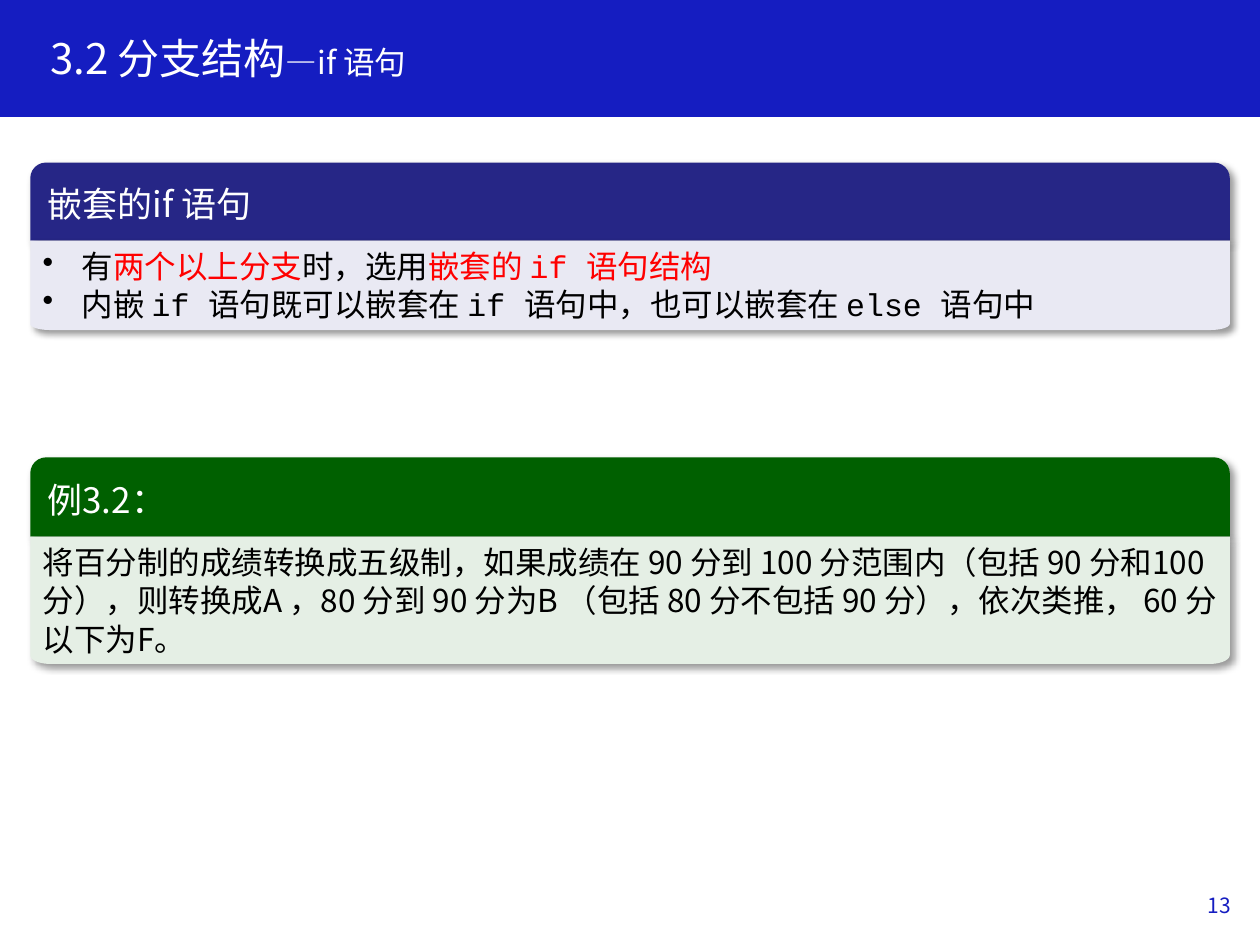
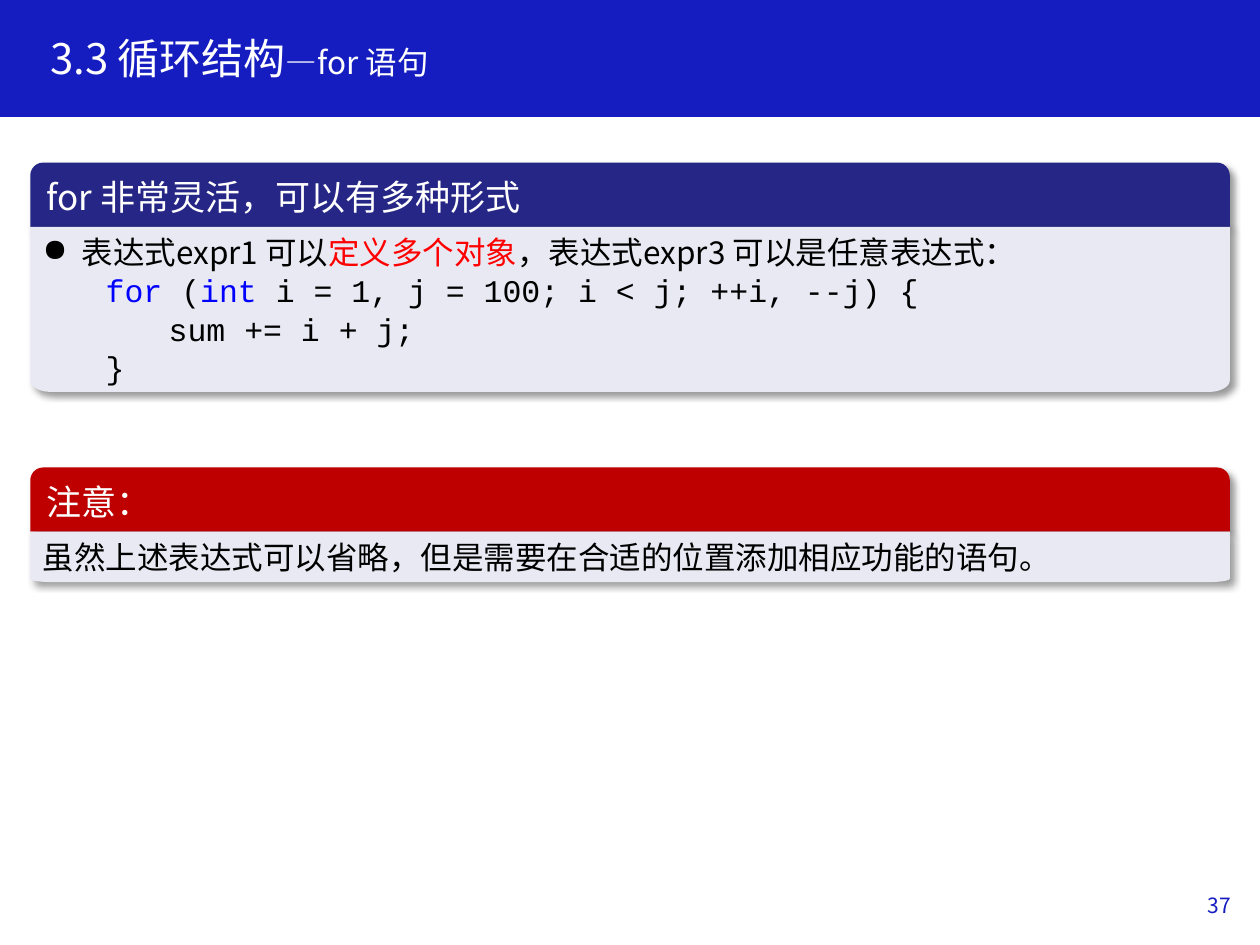
from dataclasses import dataclass
from math import cos, pi, sin

from lxml.etree import SubElement
from pptx import Presentation
from pptx.dml.color import RGBColor
from pptx.enum.shapes import MSO_SHAPE
from pptx.enum.text import MSO_ANCHOR, PP_ALIGN
from pptx.oxml.ns import qn
from pptx.util import Inches, Pt

COLORS = {
    "band": "151DC1",
    "navy": "262686",
    "green": "006000",
    "crimson": "BF0000",
    "lavender": "E9E9F3",
    "mint": "E5EFE5",
    "white": "FFFFFF",
    "black": "000000",
    "red": "FF0000",
    "keyword": "0000FF",
}
TEXT_FONT = "Noto Sans CJK SC"
CODE_FONT = "Courier New"
PANEL_LEFT = 0.24
PANEL_WIDTH = 9.52
CORNER_WIDTH = 0.16
CORNER_RATIO = 0.07
CORNER_STEPS = 12


@dataclass
class Span:
    text: str
    color: str = "black"
    font: str = TEXT_FONT
    size: float = 18


@dataclass
class Line:
    spans: list
    bullet: str = ""
    indent: float = 0


def code(text, color="black"):
    return Span(text, color, CODE_FONT)


class Deck:
    def __init__(self):
        self.presentation = Presentation()
        self.presentation.slide_width = Inches(10)
        self.presentation.slide_height = Inches(7.5)
        self.slide = None

    def color(self, name):
        return RGBColor.from_string(COLORS[name])

    def add_slide(self, title, subtitle, number):
        self.slide = self.presentation.slides.add_slide(self.presentation.slide_layouts[6])
        band = self.slide.shapes.add_shape(MSO_SHAPE.RECTANGLE, 0, 0, Inches(10), Inches(0.92))
        self.paint(band, "band")
        band.line.color.rgb = self.color("band")
        band.line.width = Pt(1)
        heading = [Span(title, "white", size=24), Span(subtitle, "white")]
        self.add_text(0.3, 0.23, 5.74, 0.51, heading, line_spacing=0.9)
        page_number = [Span(number, "band", size=12)]
        self.add_text(7.62, 6.98, 2.25, 0.4, page_number, PP_ALIGN.RIGHT)

    def add_text(self, left, top, width, height, spans, alignment=PP_ALIGN.LEFT, line_spacing=None):
        box = self.slide.shapes.add_textbox(Inches(left), Inches(top), Inches(width), Inches(height))
        self.fill_text(box, [Line(spans)], MSO_ANCHOR.MIDDLE, alignment, line_spacing)

    def add_panel(self, top, header_height, body_height, header, header_color, body_color, lines):
        group = self.slide.shapes.add_group_shape()
        title_bar = group.shapes.add_shape(
            MSO_SHAPE.ROUND_2_SAME_RECTANGLE,
            Inches(PANEL_LEFT), Inches(top), Inches(PANEL_WIDTH), Inches(header_height),
        )
        title_bar.adjustments[0] = 0.2
        self.paint(title_bar, header_color)
        self.add_shadow(title_bar)
        self.fill_text(title_bar, [Line([Span(header, "white", size=20)])], MSO_ANCHOR.MIDDLE)

        body = self.add_body(group, top + header_height, body_height)
        self.paint(body, body_color)
        self.add_shadow(body)
        self.fill_text(body, lines, MSO_ANCHOR.TOP, line_spacing=Pt(21.8))

    def add_body(self, group, top, height):
        right, bottom = PANEL_LEFT + PANEL_WIDTH, top + height
        corner_height = height * CORNER_RATIO
        angles = [pi / 2 * step / CORNER_STEPS for step in range(CORNER_STEPS + 1)]
        right_corner = [
            (right - CORNER_WIDTH * (1 - cos(angle)), bottom - corner_height * (1 - sin(angle)))
            for angle in angles
        ]
        left_corner = [(PANEL_LEFT + right - x, y) for x, y in reversed(right_corner)]
        outline = [(right, top)] + right_corner + left_corner
        builder = group.shapes.build_freeform(Inches(PANEL_LEFT), Inches(top))
        builder.add_line_segments([(Inches(x), Inches(y)) for x, y in outline], close=True)
        return builder.convert_to_shape()

    def paint(self, shape, color):
        shape.shadow.inherit = False
        shape.fill.solid()
        shape.fill.fore_color.rgb = self.color(color)
        shape.line.fill.background()

    def add_shadow(self, shape):
        effects = shape._element.spPr.find(qn("a:effectLst"))
        shadow = SubElement(
            effects, qn("a:outerShdw"),
            blurRad=str(Pt(4)), dist=str(Pt(3)), dir="2700000", algn="tl", rotWithShape="0",
        )
        shade = SubElement(shadow, qn("a:srgbClr"), val=COLORS["black"])
        SubElement(shade, qn("a:alpha"), val="40000")

    def fill_text(self, shape, lines, anchor, alignment=PP_ALIGN.LEFT, line_spacing=None):
        frame = shape.text_frame
        frame.word_wrap = True
        frame.vertical_anchor = anchor
        for index, line in enumerate(lines):
            paragraph = frame.add_paragraph() if index else frame.paragraphs[0]
            self.set_indent(paragraph, line)
            paragraph.alignment = alignment
            paragraph.line_spacing = line_spacing
            for span in line.spans:
                self.add_run(paragraph, span)

    def set_indent(self, paragraph, line):
        properties = paragraph._p.get_or_add_pPr()
        hanging = -line.indent if line.bullet else 0
        properties.set("marL", str(Inches(line.indent)))
        properties.set("indent", str(Inches(hanging)))
        if line.bullet:
            SubElement(properties, qn("a:buChar"), char=line.bullet)
        else:
            SubElement(properties, qn("a:buNone"))

    def add_run(self, paragraph, span):
        run = paragraph.add_run()
        run.text = span.text
        run.font.size = Pt(span.size)
        run.font.color.rgb = self.color(span.color)
        run.font.name = span.font
        SubElement(run._r.get_or_add_rPr(), qn("a:ea"), typeface=TEXT_FONT)


def build_if_slide(deck):
    deck.add_slide("3.2 分支结构", "—if 语句", "13")
    nested_if = [
        Line([
            Span("有"), Span("两个以上分支", "red"), Span("时，选用"),
            Span("嵌套的 ", "red"), code("if ", "red"), Span("语句结构", "red"),
        ], "•", 0.31),
        Line([
            Span("内嵌 "), code("if "), Span("语句既可以嵌套在 "), code("if "),
            Span("语句中，也可以嵌套在 "), code("else "), Span("语句中"),
        ], "•", 0.31),
    ]
    deck.add_panel(1.29, 0.62, 0.71, "嵌套的if 语句", "navy", "lavender", nested_if)
    example = (
        "将百分制的成绩转换成五级制，如果成绩在 90 分到 100 分范围内（包括 90 分和"
        "100 分），则转换成A ，80 分到 90 分为B （包括 80 分不包括 90 分），"
        "依次类推， 60 分以下为F。"
    )
    deck.add_panel(3.63, 0.63, 1.01, "例3.2：", "green", "mint", [Line([Span(example)])])


def build_for_slide(deck):
    deck.add_slide("3.3 循环结构", "—for 语句", "37")
    flexible_for = [
        Line([
            Span("表达式expr1 可以"), Span("定义多个对象", "red"),
            Span("，表达式expr3 可以是任意表达式："),
        ], "●", 0.31),
        Line([
            code("for ", "keyword"), code("("), code("int ", "keyword"),
            code("i = 1, j = 100; i < j; ++i, --j) {"),
        ], indent=0.5),
        Line([code("\tsum += i + j;")], indent=0.5),
        Line([code("}")], indent=0.5),
    ]
    deck.add_panel(1.29, 0.51, 1.31, "for 非常灵活，可以有多种形式", "navy", "lavender", flexible_for)
    note = "虽然上述表达式可以省略，但是需要在合适的位置添加相应功能的语句。"
    deck.add_panel(3.71, 0.51, 0.4, "注意：", "crimson", "lavender", [Line([Span(note)])])


def main():
    deck = Deck()
    build_if_slide(deck)
    build_for_slide(deck)
    deck.presentation.save("out.pptx")


if __name__ == "__main__":
    main()
